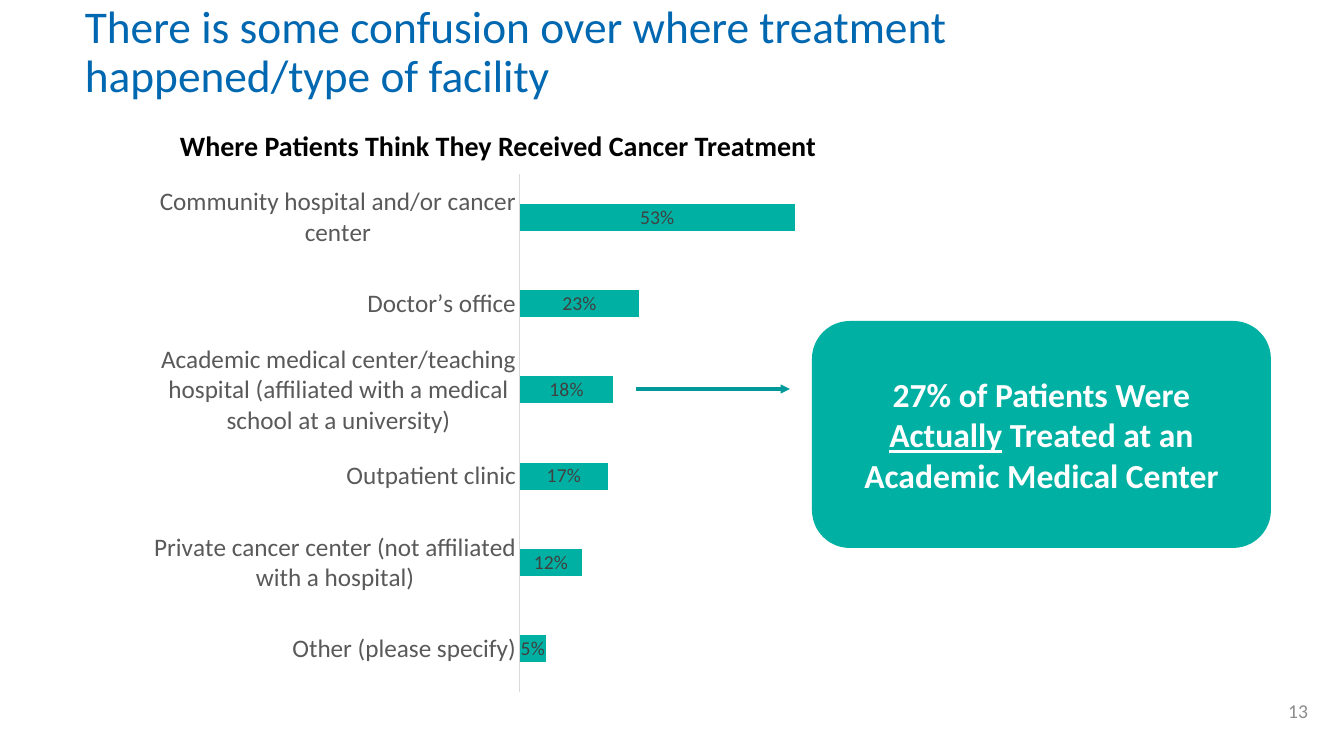
"""Build the slide on where patients think they received cancer treatment."""
import pptx
import pptx.chart.data
import pptx.dml.color
import pptx.enum.chart
import pptx.enum.shapes
import pptx.enum.text
import pptx.oxml
import pptx.oxml.ns
import pptx.util

PX = 914400 / 100.8
FONT = "Calibri"
COLORS = {
    "title": "0067B1",
    "teal": "00B1A3",
    "arrow": "009999",
    "heading": "000000",
    "category": "595959",
    "axis": "D9D9D9",
    "label": "404040",
    "number": "8C8C8C",
    "white": "FFFFFF",
}
ALIGN = pptx.enum.text.PP_ALIGN
MIDDLE = pptx.enum.text.MSO_ANCHOR.MIDDLE


def px(*lengths):
    return [pptx.util.Emu(round(length * PX)) for length in lengths]


def style(font, size, color, bold=False):
    font.name = FONT
    font.size = pptx.util.Pt(size)
    font.bold = bold
    font.color.rgb = pptx.dml.color.RGBColor.from_string(COLORS[color])


deck = pptx.Presentation()
deck.slide_width, deck.slide_height = px(1344, 756)
slide = deck.slides.add_slide(deck.slide_layouts[6])
shapes = slide.shapes

texts = [
    ("There is some confusion over where treatment happened/type of facility",
     (75, 0, 1053, 107), 32.4, "title", False, ALIGN.LEFT, True),
    ("Where Patients Think They Received Cancer Treatment",
     (167, 123, 662, 44), 20, "heading", True, ALIGN.CENTER, False),
    ("13", (1219, 691, 99, 40), 14, "number", False, ALIGN.RIGHT, True),
]
for wording, place, size, color, bold, align, wrap in texts:
    frame = shapes.add_textbox(*px(*place)).text_frame
    frame.word_wrap = wrap
    frame.vertical_anchor = MIDDLE
    line = frame.paragraphs[0]
    line.alignment = align
    line.line_spacing = 0.9 if color == "title" else 1.0
    run = line.add_run()
    run.text = wording
    style(run.font, size, color, bold)

facilities = {
    "Community hospital and/or cancer center": 0.53,
    "Doctor’s office": 0.23,
    "Academic medical center/teaching hospital (affiliated with a medical school at a university)": 0.18,
    "Outpatient clinic": 0.17,
    "Private cancer center (not affiliated with a hospital)": 0.12,
    "Other (please specify)": 0.05,
}
answers = pptx.chart.data.CategoryChartData(number_format="0%")
answers.categories = list(facilities)
answers.add_series("Series 1", list(facilities.values()))
chart = shapes.add_chart(
    pptx.enum.chart.XL_CHART_TYPE.BAR_CLUSTERED, *px(137, 160, 748, 546), answers
).chart
chart.has_legend = False
chart.has_title = False
style(chart.font, 10, "heading")

facility_axis = chart.category_axis
facility_axis.reverse_order = True
facility_axis.major_tick_mark = pptx.enum.chart.XL_TICK_MARK.NONE
facility_axis.format.line.width = pptx.util.Pt(0.75)
facility_axis.format.line.color.rgb = pptx.dml.color.RGBColor.from_string(COLORS["axis"])
style(facility_axis.tick_labels.font, 18, "category")

share_axis = chart.value_axis
share_axis.minimum_scale = 0
share_axis.maximum_scale = 0.6
share_axis.has_major_gridlines = False
share_axis.visible = False

bars = chart.plots[0]
bars.gap_width = 219
bars.vary_by_categories = False
bar_fill = bars.series[0].format.fill
bar_fill.solid()
bar_fill.fore_color.rgb = pptx.dml.color.RGBColor.from_string(COLORS["teal"])
bars.has_data_labels = True
shares = bars.data_labels
shares.show_value = True
shares.number_format = "0%"
shares.number_format_is_linked = False
shares.position = pptx.enum.chart.XL_LABEL_POSITION.CENTER
style(shares.font, 14, "label")

plot_area = chart.element.chart.plotArea
for old_layout in plot_area.findall(pptx.oxml.ns.qn("c:layout")):
    plot_area.remove(old_layout)
plot_area.insert(0, pptx.oxml.parse_xml(
    f'<c:layout {pptx.oxml.ns.nsdecls("c")}><c:manualLayout>'
    '<c:layoutTarget val="inner"/><c:xMode val="edge"/><c:yMode val="edge"/>'
    '<c:x val="0.512"/><c:y val="0.026"/><c:w val="0.416"/><c:h val="0.948"/>'
    '</c:manualLayout></c:layout>'
))

callout = shapes.add_shape(
    pptx.enum.shapes.MSO_SHAPE.ROUNDED_RECTANGLE, *px(812, 321, 459, 227)
)
callout.shadow.inherit = False
callout.fill.solid()
callout.fill.fore_color.rgb = pptx.dml.color.RGBColor.from_string(COLORS["teal"])
callout.line.fill.background()
callout.text_frame.word_wrap = True
callout.text_frame.vertical_anchor = MIDDLE
finding = callout.text_frame.paragraphs[0]
finding.alignment = ALIGN.CENTER
for wording, underline in [
    ("27% of Patients Were ", False),
    ("Actually", True),
    (" Treated at an Academic Medical Center", False),
]:
    run = finding.add_run()
    run.text = wording
    style(run.font, 24, "white", True)
    run.font.underline = underline

arrow = shapes.add_connector(
    pptx.enum.shapes.MSO_CONNECTOR.STRAIGHT, *px(636, 389, 790, 389)
)
arrow.line.width = pptx.util.Pt(2.25)
arrow.line.color.rgb = pptx.dml.color.RGBColor.from_string(COLORS["arrow"])
drawing = pptx.oxml.ns.nsdecls("a")
arrow.line._get_or_add_ln().append(pptx.oxml.parse_xml(f'<a:tailEnd {drawing} type="triangle"/>'))
arrow._element.spPr.append(pptx.oxml.parse_xml(f"<a:effectLst {drawing}/>"))

deck.save("out.pptx")
